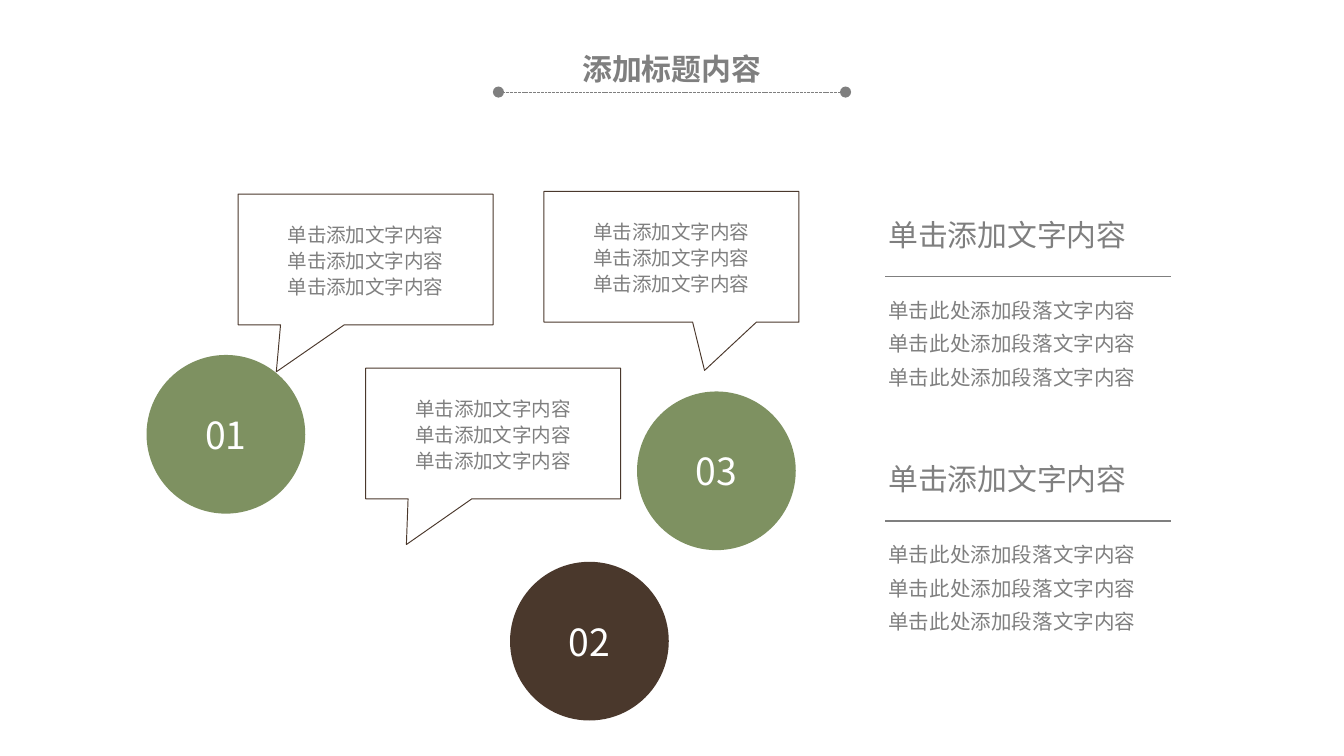
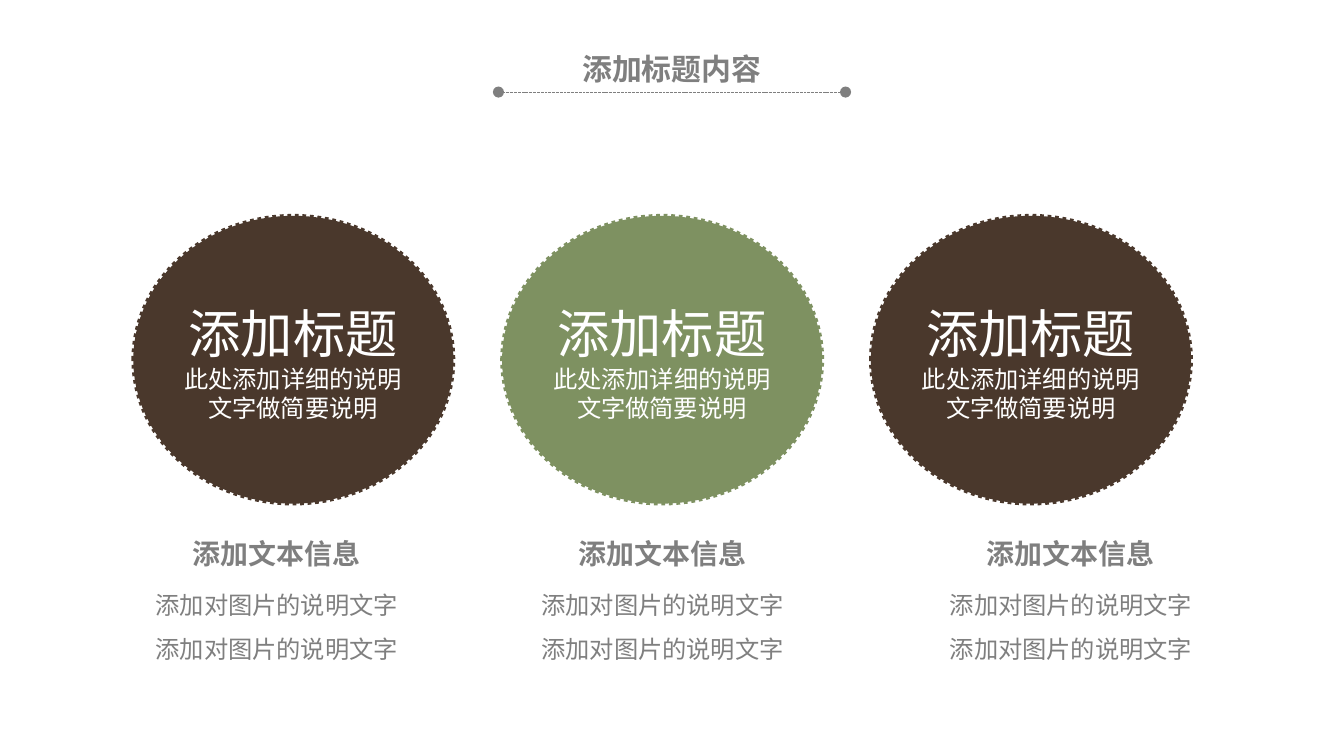
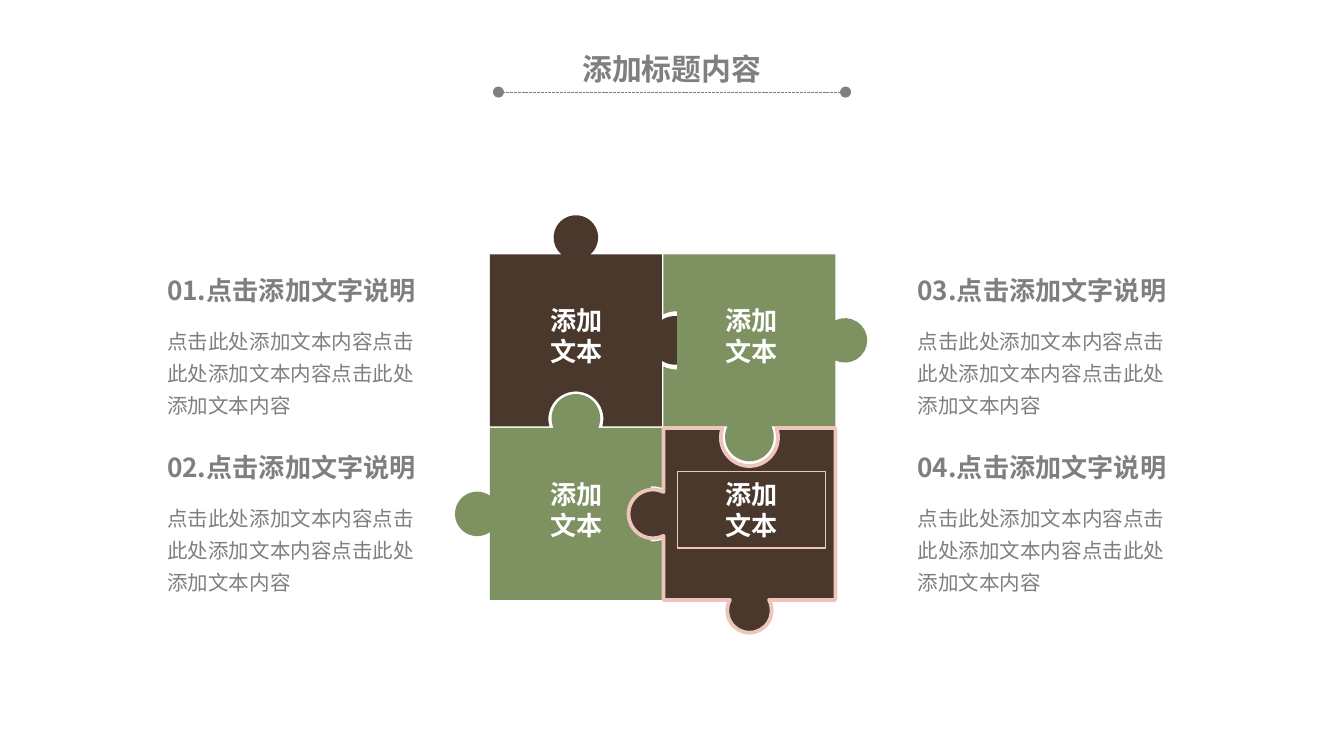
"""Build three slides: callouts, circles with captions, and a four-piece puzzle."""
from dataclasses import dataclass
from itertools import product
from math import asin, cos, pi, sin, tan

from lxml.etree import SubElement
from pptx import Presentation
from pptx.dml.color import RGBColor
from pptx.enum.dml import MSO_LINE as Dash
from pptx.enum.shapes import MSO_CONNECTOR as Link, MSO_SHAPE as Shape
from pptx.enum.text import MSO_ANCHOR as Anchor, MSO_AUTO_SIZE as Fit, PP_ALIGN as Align
from pptx.oxml.ns import qn
from pptx.util import Cm, Pt

COMPARISON, TITLE_ONLY = 4, 5
CENTER = {"alignment": Align.CENTER}
EDGES = {"top": (1, 0), "right": (0, 1), "bottom": (-1, 0), "left": (0, -1)}


@dataclass(frozen=True)
class Theme:
    font: str = "Noto Sans CJK SC"
    green: str = "7E9161"
    brown: str = "4A382C"
    gray: str = "7F7F7F"
    white: str = "FFFFFF"
    pink: str = "EEC5BC"
    title: float = 16
    heading: float = 16
    list_item: float = 11
    number: float = 20
    callout: float = 10.5
    circle_title: float = 28
    circle_note: float = 13
    caption_title: float = 15
    caption_note: float = 13
    piece: float = 14
    point: float = 14
    point_note: float = 11
    bold: tuple = ("title", "caption_title", "piece", "point")


def set_all(target, values):
    for name, value in values.items():
        setattr(target, name, value)


def knob_curves(offset, radius, parts=4):
    """Return the start and the curves of a knob, or of a notch if offset is negative."""
    sign = 1 if offset > 0 else -1
    lean = asin(abs(offset) / radius)
    turn = (pi + 2 * lean) / parts
    pull = 4 / 3 * tan(turn / 4)

    def spot(angle, tangent=0):
        along = cos(angle) + tangent * sin(angle)
        out = sin(angle) - tangent * cos(angle)
        return radius * along, sign * (radius * out + abs(offset))

    angles = [pi + lean - part * turn for part in range(parts + 1)]
    curves = [(spot(begin, pull), spot(end, -pull), spot(end))
              for begin, end in zip(angles, angles[1:])]
    return [(spot(angles[0]),)] + curves


def piece_outline(left, top, side, knobs):
    """Return a square piece clockwise: one point for a line, three for a curve."""
    outline = []
    half = side / 2
    for edge, (dx, dy) in EDGES.items():
        trail = [((-half, 0),)]
        if edge in knobs:
            trail += knob_curves(*knobs[edge])
        for segment in trail:
            outline.append([(left + half + along * dx + (half + out) * dy,
                             top + half + along * dy - (half + out) * dx)
                            for along, out in segment])
    return outline


class Painter:
    """Hold the style and the current slide, and draw each kind of element."""

    def __init__(self, theme):
        self.theme = theme
        self.deck = Presentation()
        set_all(self.deck, {"slide_width": Cm(25.4), "slide_height": Cm(14.29)})

    def color(self, name):
        return RGBColor.from_string(getattr(self.theme, name))

    def start(self, layout):
        self.page = self.deck.slides.add_slide(self.deck.slide_layouts[layout])
        self.shapes = self.page.shapes
        self.text(self.page.shapes.title, [("添加标题内容", "title", "gray")],
                  {**CENTER, "space_after": Pt(5.2)},
                  place=(10.36, 0.86, 4.67, 0.86), margins=(0.18, 0.1))
        self.rule(15.98, 9.42, 1.74, 0.5, Dash.SQUARE_DOT, ends="oval")

    def group(self):
        self.shapes = self.page.shapes.add_group_shape().shapes

    def text(self, box, lines, *layouts, anchor=Anchor.TOP, place=None,
             margins=(0.25, 0.13)):
        """Write one paragraph per line; the last layout serves all further lines."""
        if place:
            set_all(box, dict(zip(("left", "top", "width", "height"), map(Cm, place))))
        frame = box.text_frame
        across, down = map(Cm, margins)
        set_all(frame, {"word_wrap": True, "auto_size": Fit.NONE,
                        "vertical_anchor": anchor,
                        "margin_left": across, "margin_right": across,
                        "margin_top": down, "margin_bottom": down})
        for index, line in enumerate(lines):
            para = frame.add_paragraph() if index else frame.paragraphs[0]
            layout = layouts[min(index, len(layouts) - 1)] if layouts else {}
            set_all(para, {"alignment": Align.LEFT, "line_spacing": 1.0,
                           "space_before": Pt(0), "space_after": Pt(0), **layout})
            if box.is_placeholder:
                props = para._p.get_or_add_pPr()
                props.set("marL", "0")
                props.set("indent", "0")
                SubElement(props, qn("a:buNone"))
            for words, style, color in line if isinstance(line, list) else [line]:
                span = para.add_run()
                span.text = words
                set_all(span.font, {"size": Pt(getattr(self.theme, style)),
                                    "bold": style in self.theme.bold,
                                    "name": self.theme.font})
                span.font.color.rgb = self.color(color)
                SubElement(span._r.rPr, qn("a:ea")).set("typeface", self.theme.font)

    def box(self, place, lines, *layouts):
        self.text(self.shapes.add_textbox(*map(Cm, place)), lines, *layouts)

    def paint(self, shape, fill=None, line=None, width=0.75, dash=None):
        shape.shadow.inherit = False
        if fill:
            shape.fill.solid()
            shape.fill.fore_color.rgb = self.color(fill)
        else:
            shape.fill.background()
        if line:
            shape.line.color.rgb = self.color(line)
            set_all(shape.line, {"width": Pt(width), "dash_style": dash})
        else:
            shape.line.fill.background()
        return shape

    def shape(self, kind, place, **look):
        return self.paint(self.shapes.add_shape(kind, *map(Cm, place)), **look)

    def outline(self, segments, **look):
        """Draw a closed outline, turning each run of three points into one curve."""
        first, *rest = [(Cm(x), Cm(y)) for segment in segments for x, y in segment]
        builder = self.shapes.build_freeform(*first)
        builder.add_line_segments(rest, close=True)
        shape = builder.convert_to_shape()
        steps = iter(list(shape._element.iter(qn("a:lnTo"))))
        for segment in segments[1:]:
            step = next(steps)
            if len(segment) == 3:
                step.tag = qn("a:cubicBezTo")
                for extra in (next(steps), next(steps)):
                    step.append(extra[0])
                    extra.getparent().remove(extra)
        return self.paint(shape, **look)

    def rule(self, start, end, y, width, dash=None, ends=None):
        rule = self.shapes.add_connector(Link.STRAIGHT, Cm(start), Cm(y), Cm(end), Cm(y))
        rule.line.color.rgb = self.color("gray")
        set_all(rule.line, {"width": Pt(width), "dash_style": dash})
        if ends:
            for tag in ("a:headEnd", "a:tailEnd"):
                SubElement(rule.line._ln, qn(tag)).set("type", ends)
        SubElement(rule._element.spPr, qn("a:effectLst"))


def callout_slide(painter):
    painter.start(COMPARISON)
    speakers = [("01", "green", (2.77, 6.71), (4.5, 3.67), (-0.35, 0.86)),
                ("02", "brown", (9.64, 10.62), (6.91, 6.96), (-0.34, 0.85)),
                ("03", "green", (12.04, 7.4), (10.28, 3.62), (0.13, 0.87))]
    for number, color, circle_at, callout_at, tip in speakers:
        circle = painter.shape(Shape.OVAL, (*circle_at, 3, 3), fill=color)
        painter.text(circle, [(number, "number", "white")], CENTER, anchor=Anchor.MIDDLE)
        callout = painter.shape(Shape.RECTANGULAR_CALLOUT, (*callout_at, 4.82, 2.47),
                                line="brown", width=0.5)
        for index, value in enumerate(tip):
            callout.adjustments[index] = value
        painter.text(callout, [("单击添加文字内容", "callout", "gray")] * 3,
                     {**CENTER, "line_spacing": 1.1}, anchor=Anchor.MIDDLE)
    holders = painter.page.placeholders
    for row in range(2):
        shift = 4.62 * row
        painter.text(holders[1 + 2 * row], [("单击添加文字内容", "heading", "gray")],
                     place=(16.54, 3.96 + shift, 6.17, 0.94))
        painter.rule(16.73, 22.13, 5.23 + shift, 0.75)
        painter.text(holders[2 + 2 * row],
                     [("单击此处添加段落文字内容", "list_item", "gray")] * 3,
                     {"line_spacing": 1.2, "space_before": Pt(2.2)},
                     place=(16.54, 5.4 + shift, 6.17, 2.41))


def circle_slide(painter):
    painter.start(TITLE_ONLY)
    for column, (color, caption_left) in enumerate(
            [("brown", 2.51), ("green", 9.8), ("brown", 17.52)]):
        shift = 6.97 * column
        painter.shape(Shape.OVAL, (2.52 + shift, 4.08, 6.05, 5.44),
                      fill=color, line=color, width=2, dash=Dash.ROUND_DOT)
        painter.box((3.19 + shift, 5.56, 4.7, 2.57),
                    [[("添加标题", "circle_title", "white"),
                      ("此处添加详细的说明文字做简要说明", "circle_note", "white")]], CENTER)
        painter.box((caption_left, 10.01, 5.44, 2.82),
                    [("添加文本信息", "caption_title", "gray"),
                     ("添加对图片的说明文字" * 2, "caption_note", "gray")],
                    CENTER, {**CENTER, "line_spacing": 1.5, "space_before": Pt(3.1)})


def puzzle_slide(painter):
    painter.start(TITLE_ONLY)
    pieces = [
        ("brown", None, {"top": (0.32, 0.42), "right": (0.25, 0.46), "bottom": (-0.14, 0.52)}),
        ("green", None, {"top": (0.18, 0.46), "right": (-0.17, 0.52), "left": (0.24, 0.42)}),
        ("green", None, {"right": (0.18, 0.42), "bottom": (0.2, 0.46), "left": (-0.24, 0.55)}),
        ("brown", "pink", {"top": (-0.18, 0.54), "bottom": (0.2, 0.42), "left": (0.2, 0.46)}),
    ]
    cells = list(product(range(2), repeat=2))
    for (column, row), (color, line, knobs) in zip(cells, pieces):
        painter.group()
        segments = piece_outline(9.26 + 3.28 * column, 4.81 + 3.28 * row, 3.25, knobs)
        painter.outline(segments, fill=color, line=line, width=2)
        label = painter.shape(Shape.RECTANGLE,
                              (9.5 + 3.3 * column, 5.62 + 3.29 * row, 2.8, 1.45),
                              fill=color, line=line)
        painter.text(label, [(word, "piece", "white") for word in ("添加", "文本")], CENTER)
    painter.shapes = painter.page.shapes
    for number, (column, row) in enumerate(cells, 1):
        left, top = 2.91 + 14.18 * column, 5.05 + 3.35 * row
        painter.box((left, top, 5.38, 0.86),
                    [(f"{number:02}.点击添加文字说明", "point", "gray")])
        painter.box((left, top + 0.9, 5.38, 2.08),
                    [("点击此处添加文本内容" * 3, "point_note", "gray")],
                    {"line_spacing": 1.3, "space_before": Pt(6)})


def main():
    painter = Painter(Theme())
    for build in (callout_slide, circle_slide, puzzle_slide):
        build(painter)
    painter.deck.save("out.pptx")


if __name__ == "__main__":
    main()
